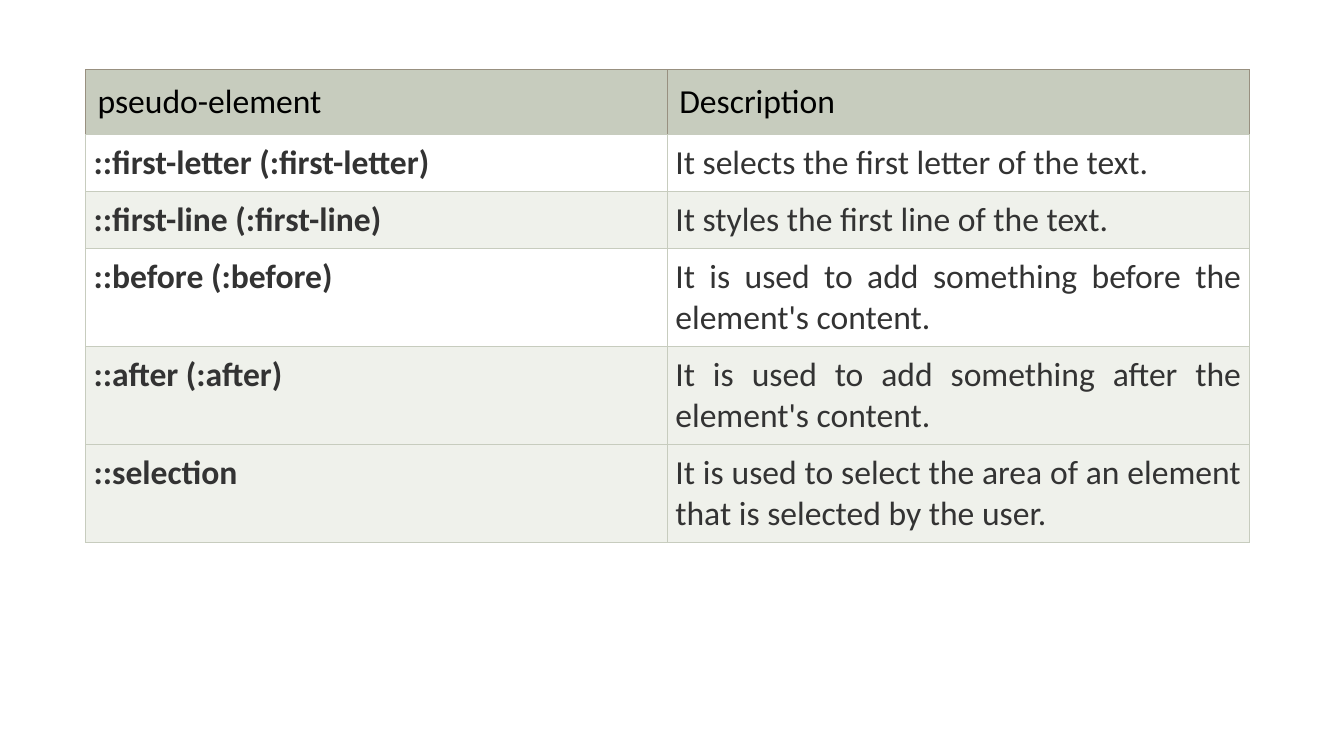
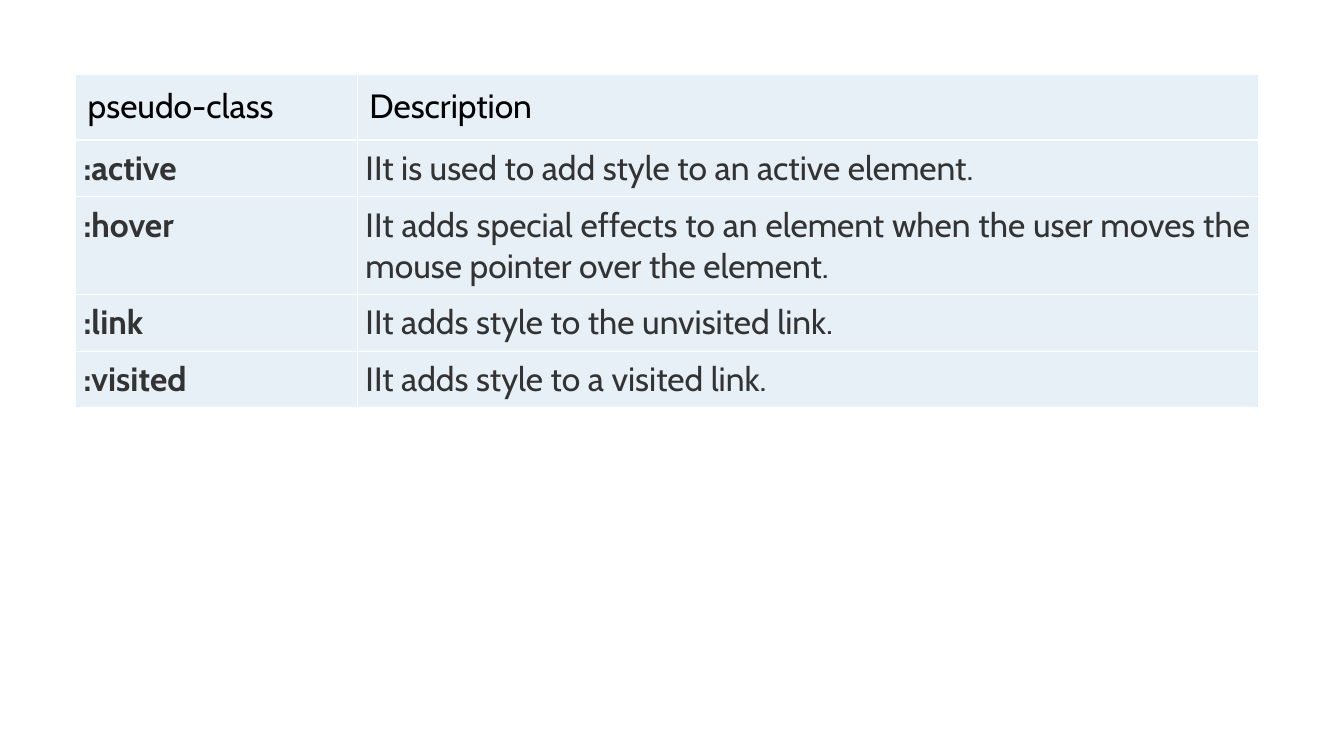
import pptx
import pptx.dml.color
import pptx.enum.text
import pptx.oxml
import pptx.oxml.ns
import pptx.util
from pptx.util import Cm

COLORS = {
    "black": "000000",
    "text": "333333",
    "white": "FFFFFF",
    "sage": "C7CCBE",
    "pale sage": "EFF1EB",
    "olive": "989080",
    "pale blue": "E7F0F7",
}


class ReferenceDeck:
    """Builds slides that each hold a two-column reference table."""

    text_size = 24
    header_margin = Cm(0.3)
    body_margin = Cm(0.2)
    header_height = Cm(1.65)
    line_height = Cm(1.03)

    def __init__(self):
        self.deck = pptx.Presentation()
        self.deck.slide_width = Cm(33.87)
        self.deck.slide_height = Cm(19.05)
        self.page = None

    def add_page(self):
        self.page = self.deck.slides.add_slide(self.deck.slide_layouts[6])

    def color(self, name):
        return pptx.dml.color.RGBColor.from_string(COLORS[name])

    def set_borders(self, cell, names, width):
        properties = cell._tc.get_or_add_tcPr()
        for side, name in zip("LRTB", names):
            properties.append(pptx.oxml.parse_xml(
                f'<a:ln{side} {pptx.oxml.ns.nsdecls("a")} w="{pptx.util.Pt(width)}">'
                f'<a:solidFill><a:srgbClr val="{COLORS[name]}"/></a:solidFill>'
                f'</a:ln{side}>'))

    def set_cell(self, cell, text, font, color, fill, margin, bold=False, justify=False):
        cell.margin_left = cell.margin_right = margin
        cell.margin_top = cell.margin_bottom = margin
        cell.fill.solid()
        cell.fill.fore_color.rgb = self.color(fill)
        cell.text_frame.text = text
        para = cell.text_frame.paragraphs[0]
        if justify:
            para.alignment = pptx.enum.text.PP_ALIGN.JUSTIFY
        span = para.runs[0]
        span.font.name = font
        span.font.size = pptx.util.Pt(self.text_size)
        span.font.bold = bold
        span.font.color.rgb = self.color(color)

    def add_table(self, left, top, widths, header, rows, font, fills,
                  border, border_width, header_border):
        heights = [self.header_height]
        heights += [lines * self.line_height + 2 * self.body_margin for _, _, lines in rows]
        table = self.page.shapes.add_table(
            len(heights), len(widths), left, top, sum(widths), sum(heights)).table
        table.horz_banding = False
        for column, width in zip(table.columns, widths):
            column.width = width
        for row, height in zip(table.rows, heights):
            row.height = height
        for index, text in enumerate(header):
            cell = table.cell(0, index)
            self.set_borders(cell, [header_border] * 3 + [border], border_width)
            self.set_cell(cell, text, font, "black", fills[0], self.header_margin)
        for number, (term, description, _) in enumerate(rows, 1):
            for index, text in enumerate((term, description)):
                cell = table.cell(number, index)
                self.set_borders(cell, [border] * 4, border_width)
                self.set_cell(cell, text, font, "text", fills[number],
                              self.body_margin, bold=index == 0, justify=True)


def main():
    slides = ReferenceDeck()

    slides.add_page()
    slides.add_table(
        Cm(2.16), Cm(1.75), [Cm(14.66), Cm(14.66)],
        ["pseudo-element", "Description"],
        [
            ("::first-letter (:first-letter)", "It selects the first letter of the text.", 1),
            ("::first-line (:first-line)", "It styles the first line of the text.", 1),
            ("::before (:before)", "It is used to add something before the element's content.", 2),
            ("::after (:after)", "It is used to add something after the element's content.", 2),
            ("::selection",
             "It is used to select the area of an element that is selected by the user.", 2),
        ],
        "Calibri",
        ["sage", "white", "pale sage", "white", "pale sage", "pale sage"],
        "sage", 0.75, "olive")

    slides.add_page()
    slides.add_table(
        Cm(1.91), Cm(1.88), [Cm(7.1), Cm(22.7)],
        ["pseudo-class", "Description"],
        [
            (":active", "IIt is used to add style to an active element.", 1),
            (":hover", "IIt adds special effects to an element when the user moves "
                       "the mouse pointer over the element.", 2),
            (":link", "IIt adds style to the unvisited link.", 1),
            (":visited", "IIt adds style to a visited link.", 1),
        ],
        "Cabin", ["pale blue"] * 5, "white", 1, "white")

    slides.deck.save("out.pptx")


if __name__ == "__main__":
    main()
